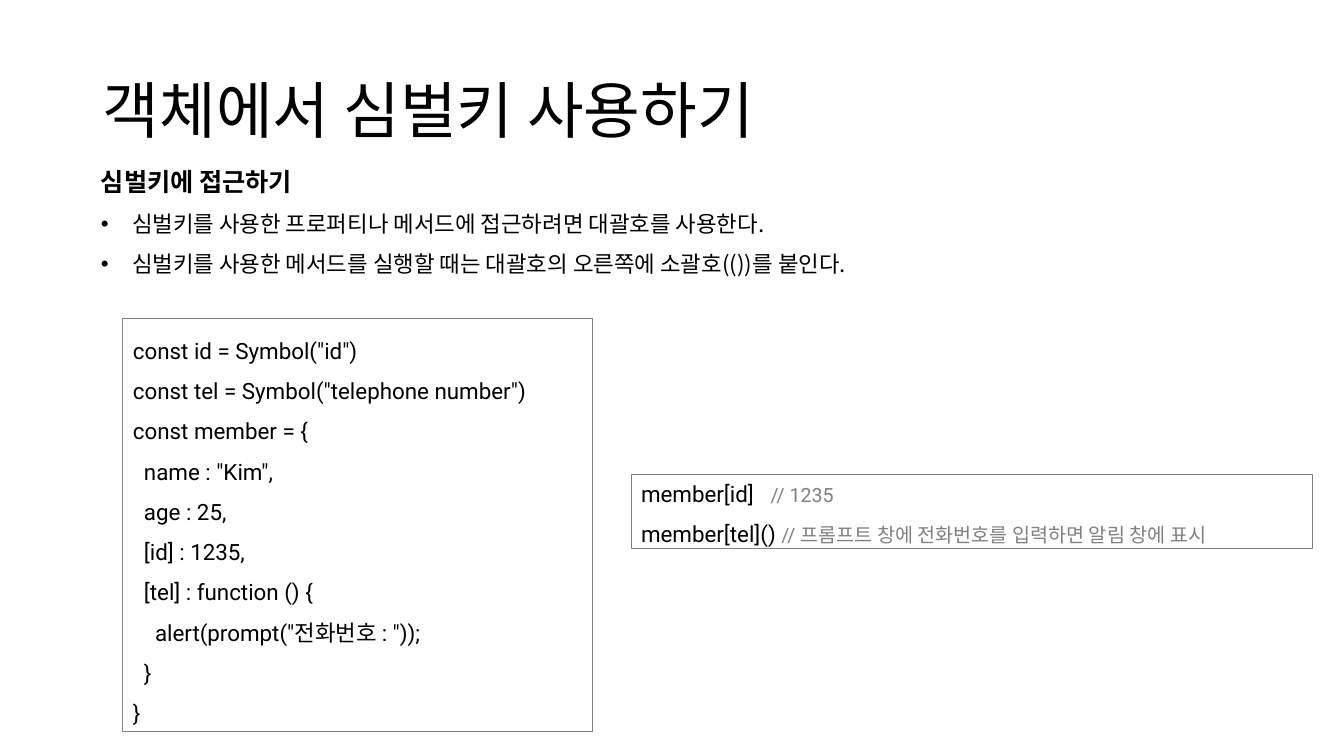
from lxml import etree
from pptx import Presentation
from pptx import util as u
from pptx.dml.color import RGBColor
from pptx.enum import shapes, text
from pptx.oxml import ns

BLACK, GRAY = "000000", "808080"
HANGUL, LATIN = "Noto Sans CJK KR", "Roboto"

CODE = """const id = Symbol("id")
const tel = Symbol("telephone number")
const member = {
  name : "Kim",
  age : 25,
  [id] : 1235,
  [tel] : function () {
    alert(prompt("전화번호 : "));
  }
}"""

CALLS = [
    ("member[id]   ", "// 1235", 1),
    ("member[tel]() ", "// 프롬프트 창에 전화번호를 입력하면 알림 창에 표시", 1.5),
]

POINTS = [
    "심벌키를 사용한 프로퍼티나 메서드에 접근하려면 대괄호를 사용한다.",
    "심벌키를 사용한 메서드를 실행할 때는 대괄호의 오른쪽에 소괄호(())를 붙인다.",
]


def color(code):
    return RGBColor.from_string(code)


class Page:
    def __init__(self, deck):
        self.slide = deck.slides.add_slide(deck.slide_layouts[1])

    def run(self, para, words, size, font, ink=BLACK, bold=False):
        run = para.add_run()
        run.text = words
        run.font.size = u.Pt(size)
        run.font.bold = bold
        run.font.name = font
        run.font.color.rgb = color(ink)
        # Hangul takes its face from the East Asian font slot
        east = etree.SubElement(run.font._element, ns.qn("a:ea"))
        east.set("typeface", HANGUL)

    def lines(self, frame, rows):
        """Fill a frame with rows of (line spacing, bullet, runs)."""
        for i, (gap, mark, runs) in enumerate(rows):
            para = frame.add_paragraph() if i else frame.paragraphs[0]
            para.alignment = text.PP_ALIGN.LEFT
            para.line_spacing = gap
            para.space_before = para.space_after = u.Pt(0)
            props = para._p.get_or_add_pPr()
            indent = u.Inches(0.31) if mark else 0
            props.set("marL", str(indent))
            props.set("indent", str(-indent))
            if mark:
                face = etree.SubElement(props, ns.qn("a:buFont"))
                face.set("typeface", "Arial")
                etree.SubElement(props, ns.qn("a:buChar")).set("char", mark)
            else:
                etree.SubElement(props, ns.qn("a:buNone"))
            for args in runs:
                self.run(para, *args)

    def holder(self, index, box, anchor, rows):
        """Move a template placeholder and fill it."""
        shape = self.slide.placeholders[index]
        shape.left, shape.top, shape.width, shape.height = map(u.Inches, box)
        frame = shape.text_frame
        frame.word_wrap = True
        frame.auto_size = text.MSO_AUTO_SIZE.NONE
        frame.vertical_anchor = anchor
        self.lines(frame, rows)

    def panel(self, box, rows):
        shape = self.slide.shapes.add_shape(
            shapes.MSO_SHAPE.RECTANGLE, *map(u.Inches, box))
        shape.shadow.inherit = False
        shape.fill.background()
        shape.line.color.rgb = color(GRAY)
        shape.line.width = u.Pt(0.75)
        frame = shape.text_frame
        frame.word_wrap = True
        frame.vertical_anchor = text.MSO_ANCHOR.TOP
        self.lines(frame, rows)


def main():
    deck = Presentation()
    deck.slide_width, deck.slide_height = u.Inches(13.33), u.Inches(7.5)
    page = Page(deck)
    page.holder(0, (0.92, 0.4, 11.5, 1.45), text.MSO_ANCHOR.MIDDLE,
                [(0.9, None, [("객체에서 심벌키 사용하기", 44, HANGUL)])])
    head = (1.5, None, [("심벌키에 접근하기", 18, HANGUL, BLACK, True)])
    page.holder(1, (0.9, 1.45, 11.76, 1.31), text.MSO_ANCHOR.TOP,
                [head] + [(1.5, "•", [(p, 16, HANGUL)]) for p in POINTS])
    page.panel((1.22, 3.16, 4.66, 4.1),
               [(1.5, None, [(row, 16, LATIN)]) for row in CODE.split("\n")])
    page.panel((6.26, 4.71, 6.76, 0.73),
               [(gap, None, [(call, 16, LATIN), (note, 14, LATIN, GRAY)])
                for call, note, gap in CALLS])
    deck.save("out.pptx")


if __name__ == "__main__":
    main()
